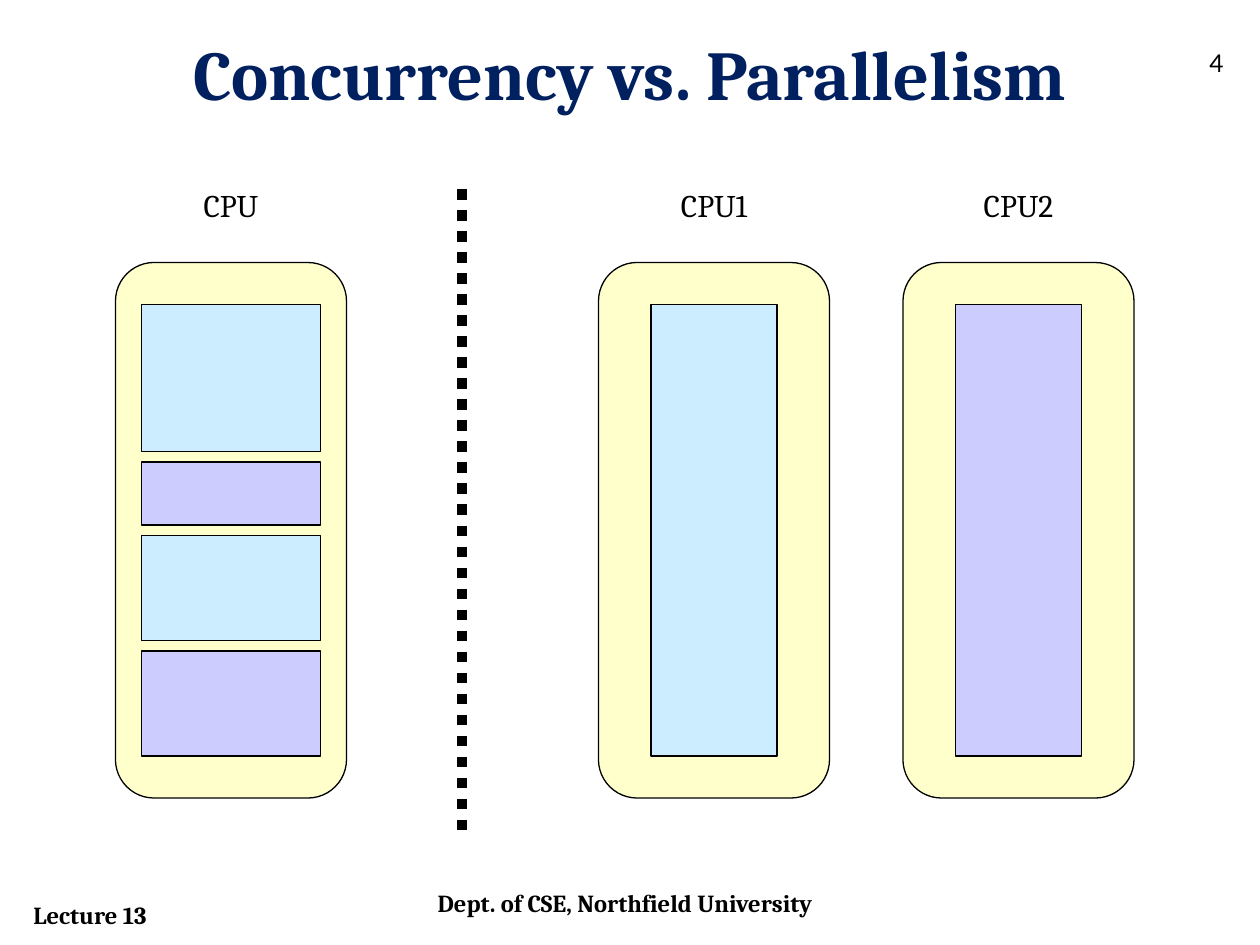
from dataclasses import dataclass

from pptx import Presentation
from pptx.dml.color import RGBColor
from pptx.enum.dml import MSO_LINE
from pptx.enum.shapes import MSO_CONNECTOR, MSO_SHAPE
from pptx.enum.text import PP_ALIGN
from pptx.oxml.ns import qn
from pptx.util import Pt
from lxml import etree

ROUNDED, RECT = MSO_SHAPE.ROUNDED_RECTANGLE, MSO_SHAPE.RECTANGLE
STRAIGHT = MSO_CONNECTOR.STRAIGHT
DOTTED = MSO_LINE.ROUND_DOT  # written as sysDot
LEFT, CENTER = PP_ALIGN.LEFT, PP_ALIGN.CENTER


@dataclass(frozen=True)
class Theme:
    ink: str = "000000"
    title: str = "002060"
    cpu: str = "FFFFCC"
    task_a: str = "CCECFF"
    task_b: str = "CCCCFF"
    serif: str = "Cambria"
    sans: str = "Lato"
    title_size: int = 40
    label_size: int = 18
    footer_size: int = 14


THEME = Theme()

# CPU geometry, in points
CPU_TOP, CPU_WIDTH, CPU_HEIGHT = 150, 132, 306
TASK_TOP, TASK_HEIGHT, SLICE_GAP = 174, 258, 6
LABEL_TOP, LABEL_HEIGHT = 103, 29


def add_text(slide, text, box, size, color=THEME.ink, font=THEME.serif,
             bold=False, align=LEFT, wrap=True):
    frame = slide.shapes.add_textbox(*map(Pt, box)).text_frame
    frame.word_wrap = wrap
    line = frame.paragraphs[0]
    line.alignment = align
    run = line.add_run()
    run.text = text
    run.font.color.rgb = RGBColor.from_string(color)
    for attribute, value in {"name": font, "size": Pt(size), "bold": bold}.items():
        setattr(run.font, attribute, value)


def add_block(slide, kind, box, fill):
    block = slide.shapes.add_shape(kind, *map(Pt, box))
    block.shadow.inherit = False
    block.fill.solid()
    block.fill.fore_color.rgb = RGBColor.from_string(fill)
    block.line.color.rgb = RGBColor.from_string(THEME.ink)
    block.line.width = Pt(0.75)
    return block


def add_cpu(slide, name, left, label_width, inset, slices):
    """Draw a labelled CPU whose (height, colour) slices run from top to bottom."""
    label_left = left + (CPU_WIDTH - label_width) / 2
    add_text(slide, name, (label_left, LABEL_TOP, label_width, LABEL_HEIGHT),
             THEME.label_size, align=CENTER, wrap=False)
    cpu = add_block(slide, ROUNDED, (left, CPU_TOP, CPU_WIDTH, CPU_HEIGHT), THEME.cpu)
    cpu.adjustments[0] = 0.167
    top = TASK_TOP
    for height, color in slices:
        add_block(slide, RECT, (left + inset, top, CPU_WIDTH - 2 * inset, height), color)
        top += height + SLICE_GAP


def add_divider(slide, x, top, bottom):
    divider = slide.shapes.add_connector(STRAIGHT, *map(Pt, (x, top, x, bottom)))
    divider.line.color.rgb = RGBColor.from_string(THEME.ink)
    for attribute, value in {"width": Pt(6), "dash_style": DOTTED}.items():
        setattr(divider.line, attribute, value)
    # An empty effect list turns the shadow off
    etree.SubElement(divider.element.spPr, qn("a:effectLst"))


def main():
    deck = Presentation()
    deck.slide_width, deck.slide_height = Pt(720), Pt(540)
    slide = deck.slides.add_slide(deck.slide_layouts[6])

    # Title and page number
    add_text(slide, "Concurrency vs. Parallelism", (36, 13.7, 648, 55.4),
             THEME.title_size, color=THEME.title, bold=True, align=CENTER)
    add_text(slide, "4", (684, 24, 30, 29), THEME.footer_size, font=THEME.sans)

    # Concurrency: two tasks take turns on one CPU
    turns = [(84, THEME.task_a), (36, THEME.task_b),
             (60, THEME.task_a), (60, THEME.task_b)]
    add_cpu(slide, "CPU", 66, 47, 15, turns)

    add_divider(slide, 264, 108, 480)

    # Parallelism: each task has its own CPU
    for name, left, task in (("CPU1", 342, THEME.task_a), ("CPU2", 516, THEME.task_b)):
        add_cpu(slide, name, left, 57, 30, [(TASK_HEIGHT, task)])

    # Footer
    for text, box in (("Lecture 13", (12, 510.5, 144, 24.5)),
                      ("Dept. of CSE, Northfield University", (243, 504, 234, 29))):
        add_text(slide, text, box, THEME.footer_size, bold=True)

    deck.save("out.pptx")


if __name__ == "__main__":
    main()
